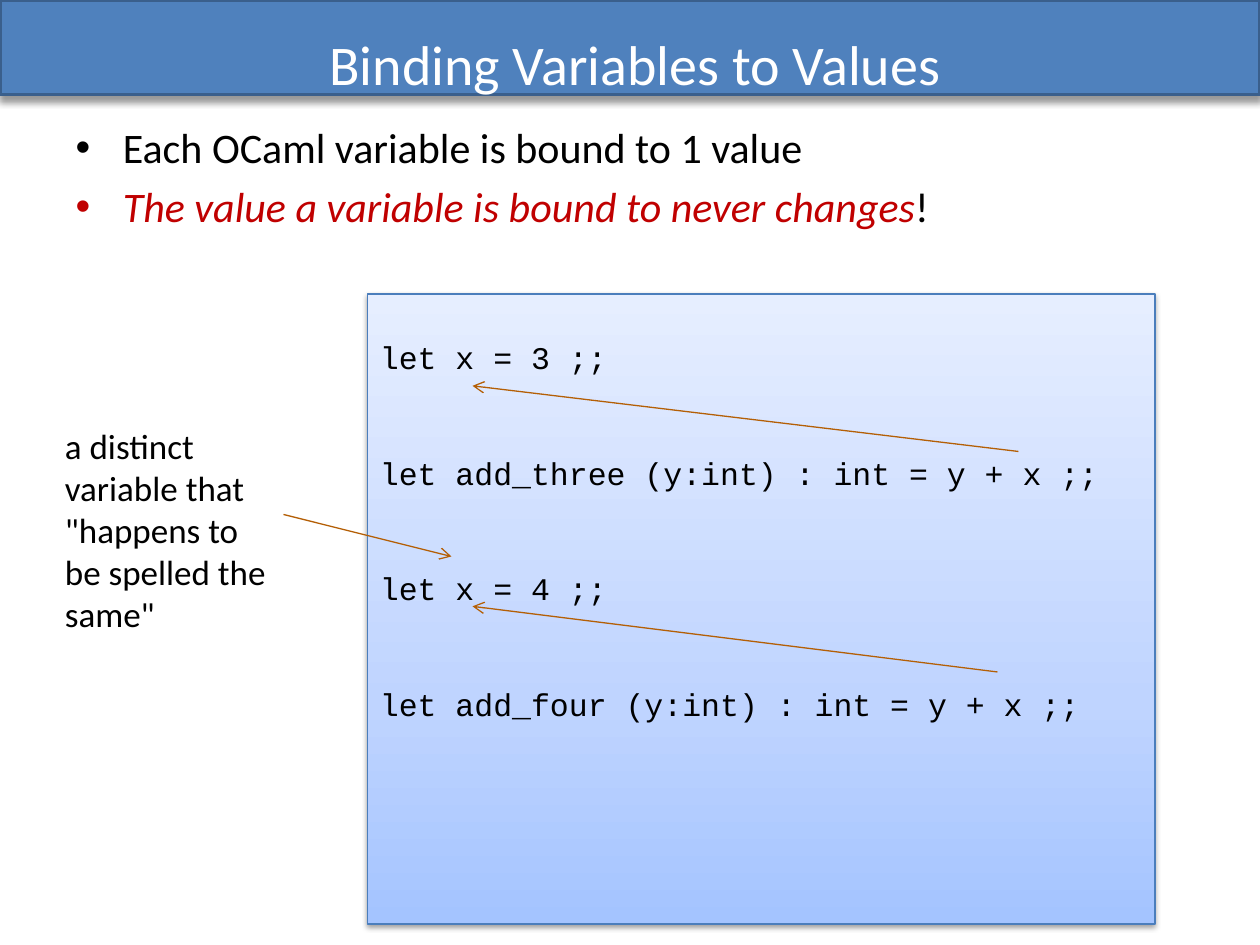
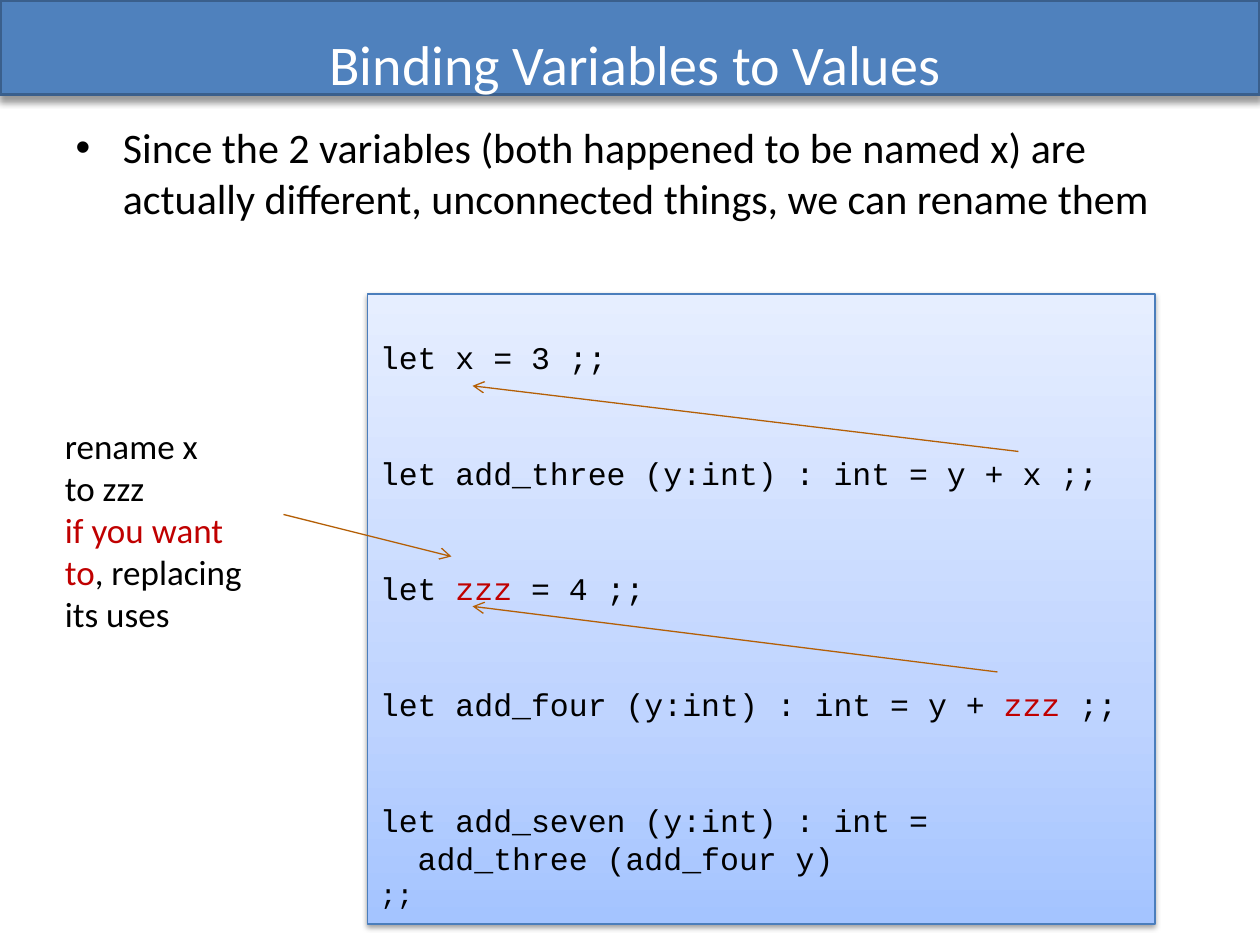
"""Builds two slides on binding variables to values."""
from lxml import etree
from pptx import Presentation
from pptx.dml.color import RGBColor
from pptx.enum.shapes import MSO_CONNECTOR, MSO_SHAPE
from pptx.enum.text import MSO_ANCHOR, MSO_AUTO_SIZE, PP_ALIGN
from pptx.oxml.ns import qn
from pptx.util import Inches, Pt

RECT, LINE = MSO_SHAPE.RECTANGLE, MSO_CONNECTOR.STRAIGHT
TOP, MID = MSO_ANCHOR.TOP, MSO_ANCHOR.MIDDLE
LEFT, MIDDLE = PP_ALIGN.LEFT, PP_ALIGN.CENTER
GROW = MSO_AUTO_SIZE.SHAPE_TO_FIT_TEXT
WIDTH, HEIGHT, COLS = Inches(10), Inches(7.5), 24
CELL = WIDTH / COLS


def rgb(code):
    """Turn a hex string into a colour."""
    return RGBColor.from_string(code)


def grid(*cells):
    """Turn counts of grid cells into lengths."""
    return [round(n * CELL) for n in cells]


def node(root, tag, **attrs):
    """Add an XML child with the given attributes."""
    item = etree.SubElement(root, qn(tag))
    for key, value in attrs.items():
        item.set(key, str(value))
    return item


class Deck:
    """Hold the style and the current slide."""

    sans, mono = "Calibri", "Courier New"
    ink, paper, red, rust = "000000", "FFFFFF", "C00000", "B45F06"
    blue, navy, edge = "4F81BD", "3A5F8C", "4B7EBC"
    shades = ((0, "A4C4FF"), (35, "BFD4FF"), (100, "E6EEFF"))

    def __init__(self):
        """Open a blank deck of the right size."""
        self.deck = Presentation()
        self.deck.slide_width, self.deck.slide_height = WIDTH, HEIGHT
        self.slide = None

    def start(self, title):
        """Begin a slide with its title."""
        first = self.slide is None
        self.slide = self.deck.slides.add_slide(self.deck.slide_layouts[1])
        if first:
            self.band()
        head = self.slide.shapes.title
        self.place(head, 1.3, -0.3, 21.6, 3)
        head.text_frame.vertical_anchor = MID
        self.words(head, [title], 32, color=self.paper, align=MIDDLE)

    def place(self, shape, *cells):
        """Move a shape to a place on the grid."""
        shape.left, shape.top, shape.width, shape.height = grid(*cells)

    def words(self, shape, lines, size, font=sans, color=ink, align=LEFT, slant=False):
        """Fill a shape with lines, with the parts between tildes in red."""
        frame = shape.text_frame
        for i, line in enumerate(lines):
            para = frame.paragraphs[0] if i == 0 else frame.add_paragraph()
            para.alignment = align
            para.font.name, para.font.size = font, Pt(size)
            para.font.color.rgb = rgb(color)
            for j, part in enumerate(line.split("~")):
                if part:
                    run = para.add_run()
                    run.text = part
                    if j % 2:
                        run.font.color.rgb = rgb(self.red)
                        run.font.italic = slant or None
        return frame.paragraphs

    def box(self, cells, edge, width, shade):
        """Draw a rectangle with a line and a shadow cast downward."""
        shape = self.slide.shapes.add_shape(RECT, *grid(*cells))
        shape.line.color.rgb, shape.line.width = rgb(edge), Pt(width)
        shape.shadow.inherit = False
        alpha, blur, dist = shade
        cast = node(shape.element.spPr.find(qn("a:effectLst")), "a:outerShdw",
                    blurRad=Pt(blur), dist=Pt(dist), dir=90 * 60000, rotWithShape=0)
        tint = node(cast, "a:srgbClr", val=self.ink)
        node(tint, "a:alpha", val=alpha * 1000)
        return shape

    def band(self):
        """Put the title band on the slide master."""
        shape = self.box((0, 0, COLS, 1.8), self.navy, 2, (40, 4, 3))
        shape.fill.solid()
        shape.fill.fore_color.rgb = rgb(self.blue)
        self.deck.slide_master.shapes.element.insert(2, shape.element)

    def list(self, lines):
        """Set the bullet list."""
        body = self.slide.placeholders[1]
        self.place(body, 1.2, 2.2, 21.6, 14.4)
        self.words(body, lines, 24, slant=True)

    def code(self, blocks):
        """Set blocks of code, kept apart by space, in a shaded panel."""
        shape = self.box((7, 5.6, 15, 12), self.edge, 0.75, (38, 3.1, 1.6))
        shape.fill.gradient()
        shape.fill.gradient_angle = 90
        stops = shape.element.spPr.find(".//" + qn("a:gsLst"))
        stops.clear()
        for pos, color in self.shades:
            node(node(stops, "a:gs", pos=pos * 1000), "a:srgbClr", val=color)
        frame = shape.text_frame
        frame.word_wrap, frame.vertical_anchor = True, TOP
        frame.margin_top = Inches(0.35)
        lines = [line for block in blocks for line in block]
        paras = iter(self.words(shape, lines, 18, self.mono))
        for i, block in enumerate(blocks):
            for j, line in enumerate(block):
                para = next(paras)
                if i and j == 0:
                    para.space_before = Pt(44.5)
                if j == 1:
                    para._p.get_or_add_pPr().set("marL", str(Inches(0.3)))
                if line == ";;":
                    para.font.size = Pt(16)

    def arrow(self, *ends):
        """Draw an arrow between two points of the grid."""
        line = self.slide.shapes.add_connector(LINE, *grid(*ends))
        line.line.color.rgb, line.line.width = rgb(self.rust), Pt(0.75)
        node(line.get_or_add_ln(), "a:tailEnd", type="arrow")
        node(line.element.spPr, "a:effectLst")

    def note(self, lines, width):
        """Set the remark beside the code."""
        shape = self.slide.shapes.add_textbox(*grid(1, 7.97, width, 4.27))
        shape.text_frame.word_wrap = False
        shape.text_frame.auto_size = GROW
        self.words(shape, lines, 20)

    def page(self, points, blocks, remark, width):
        """Build one slide of points, code, arrows and a remark."""
        self.start("Binding Variables to Values")
        self.list(points)
        self.code(blocks)
        self.arrow(19.4, 8.6, 9, 7.35)
        self.arrow(19, 12.8, 9, 11.55)
        self.arrow(5.4, 9.8, 8.6, 10.6)
        self.note(remark, width)


def binds(name):
    """List the shared bindings, with a name for the second variable."""
    return [["let x = 3 ;;"],
            ["let add_three (y:int) : int = y + x ;;"],
            [f"let {name} = 4 ;;"],
            [f"let add_four (y:int) : int = y + {name} ;;"]]


deck = Deck()
deck.page(
    ["Each OCaml variable is bound to 1 value",
     "~The value a variable is bound to never changes~!"],
    binds("x"),
    ["a distinct", "variable that", '"happens to', "be spelled the", 'same"'], 4.34)
deck.page(
    ["Since the 2 variables (both happened to be named x) are actually "
     "different, unconnected things, we can rename them"],
    binds("~zzz~") + [["let add_seven (y:int) : int =", "add_three (add_four y)", ";;"]],
    ["rename x", "to zzz", "~if you want~", "~to~, replacing", "its uses"], 3.86)
deck.deck.save("out.pptx")
